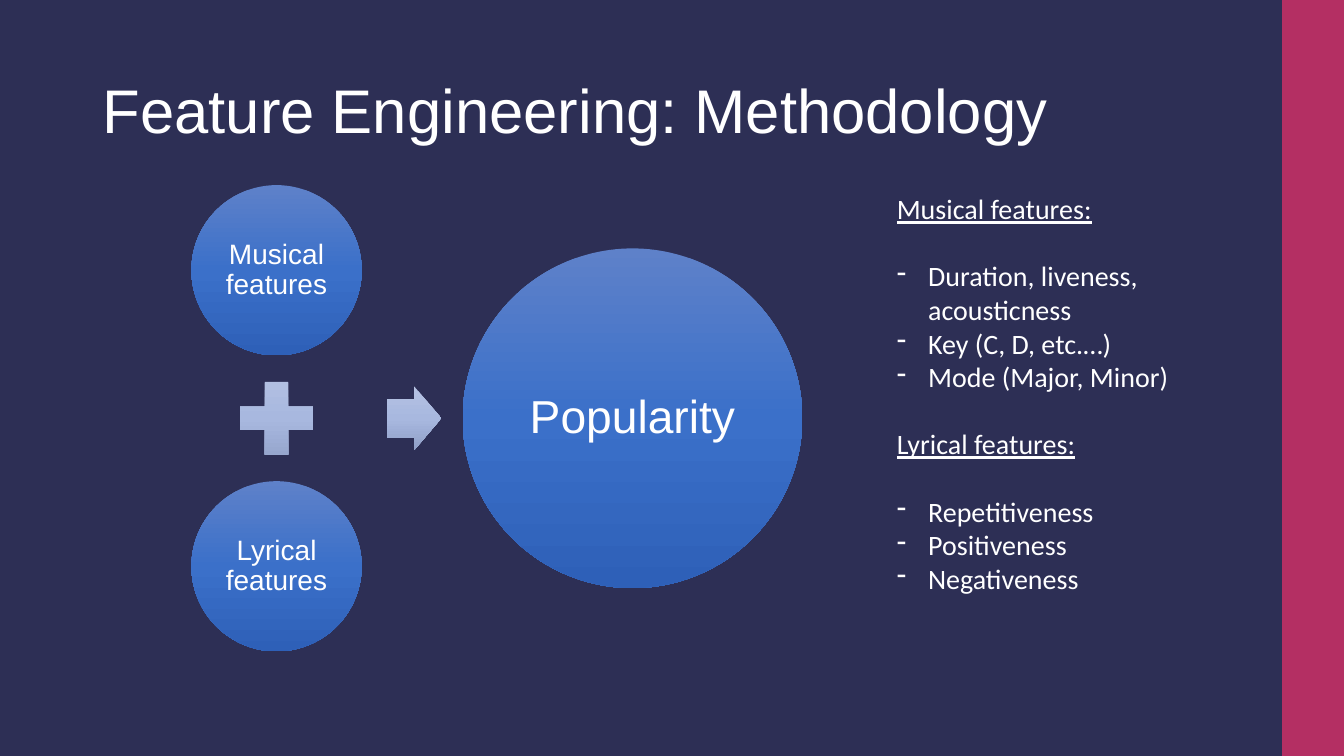
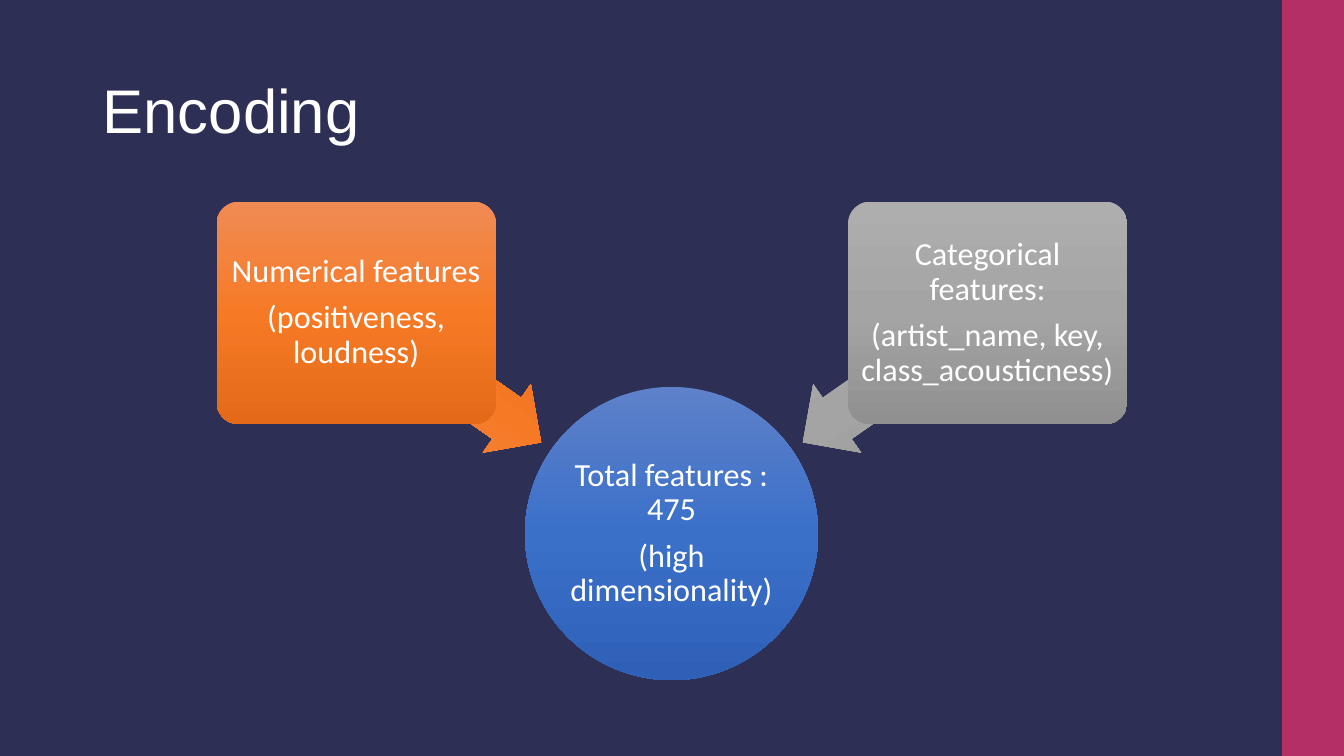
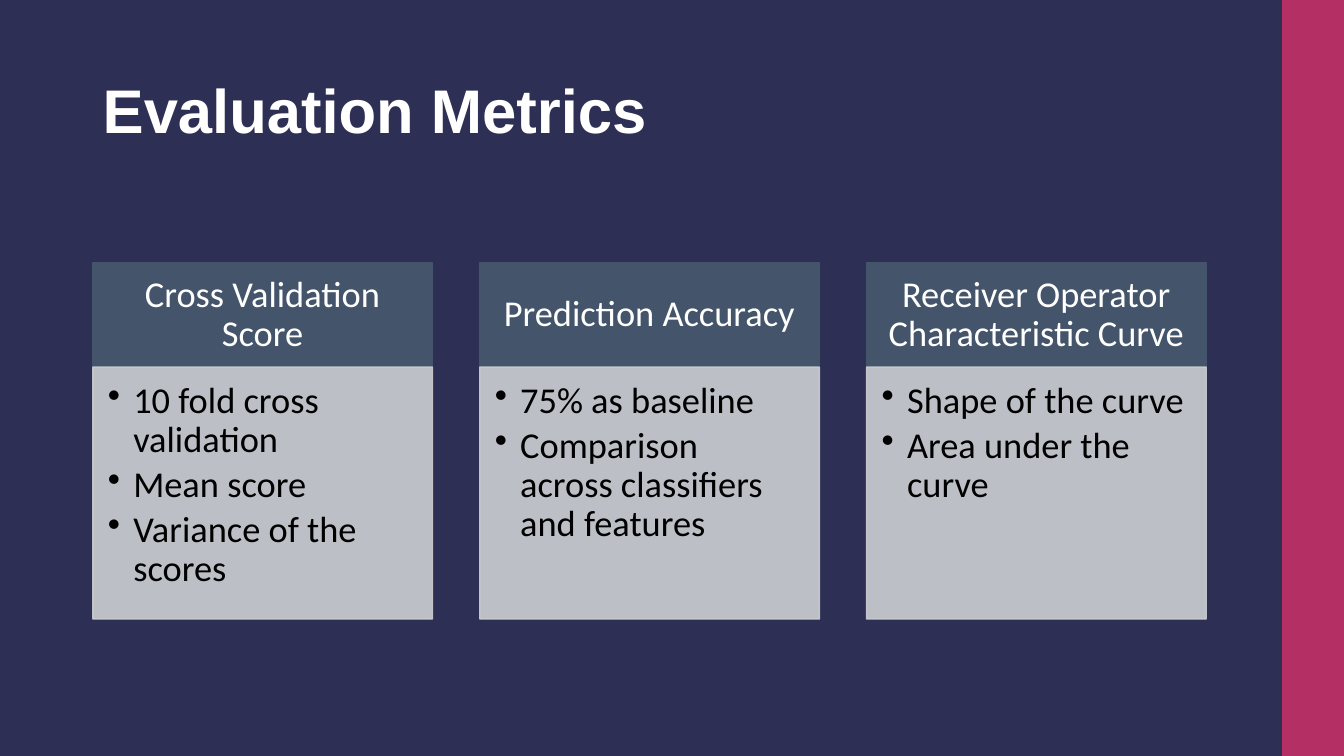
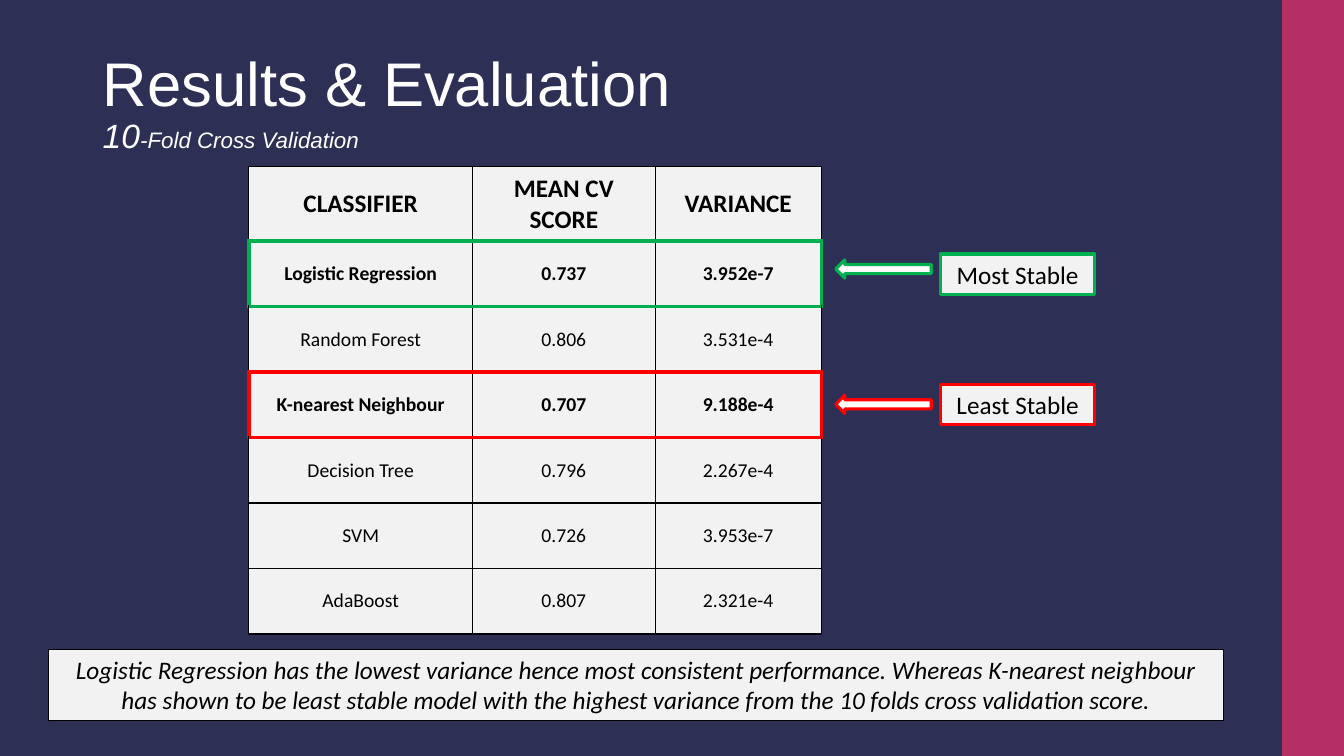
from lxml.etree import SubElement
from pptx import Presentation
from pptx.dml.color import RGBColor
from pptx.enum.shapes import MSO_SHAPE
from pptx.enum.text import MSO_ANCHOR, PP_ALIGN
from pptx.oxml.ns import qn
from pptx.util import Cm, Pt

# Shared colours, gradients and formats
SLIDE_W, SLIDE_H = 33.87, 19.05
NAVY, PINK, WHITE, BLACK = "2D2F55", "B42F63", "FFFFFF", "000000"
PALE, SLATE, SILVER = "F2F2F2", "44546A", "CDCFD3"
GREEN, RED = "00B050", "FF0000"
BLUE = ("5E81C9", "3B70C9", "2E60B8")
LIGHT_BLUE = ("B5C2E2", "A8B8DF", "90A0C8")
ORANGE = ("F08B54", "F67A26", "E36A18")
GREY = ("AEAEAE", "A4A4A4", "909090")
CENTRED = {"alignment": PP_ALIGN.CENTER}
TIGHT = {"line_spacing": 0.9}
TIGHT_CENTRED = {**CENTRED, **TIGHT}
BOX_INSETS = (0.25, 0.13, 0.25, 0.13)


def rgb(value):
    return RGBColor.from_string(value)


def font(size, color=WHITE, name="Calibri", **extra):
    return {"size": Pt(size), "name": name, "color": color, **extra}


def set_all(obj, values):
    for key, value in values.items():
        setattr(obj, key, value)


# Text
def add_run(p, text, fmt):
    r = p.add_run()
    r.text = text
    fmt = dict(fmt)
    r.font.color.rgb = rgb(fmt.pop("color"))
    set_all(r.font, fmt)


def add_bullet(p, char, indent, color):
    pPr = p._p.get_or_add_pPr()
    pPr.set("marL", str(Cm(indent)))
    pPr.set("indent", str(-Cm(indent)))
    SubElement(SubElement(pPr, qn("a:buClr")), qn("a:srgbClr"), val=color)
    SubElement(pPr, qn("a:buChar"), char=char)


def add_par(tf, text, fmt, bullet=None, **layout):
    """Fill the empty first paragraph, or add a further one."""
    p = tf.paragraphs[0] if not tf.text else tf.add_paragraph()
    if bullet:
        add_bullet(p, *bullet, fmt["color"])
    set_all(p, layout)
    add_run(p, text, fmt)
    return p


def set_frame(tf, insets, anchor=MSO_ANCHOR.MIDDLE):
    left, top, right, bottom = (Cm(v) for v in insets)
    set_all(tf, {"word_wrap": True, "vertical_anchor": anchor,
                 "margin_left": left, "margin_top": top,
                 "margin_right": right, "margin_bottom": bottom})
    return tf


def add_text(s, x, y, w, h, anchor=MSO_ANCHOR.MIDDLE):
    sp = s.shapes.add_textbox(Cm(x), Cm(y), Cm(w), Cm(h))
    return set_frame(sp.text_frame, BOX_INSETS, anchor)


# Shapes
def set_gradient(sp, colors):
    sp.fill.gradient()
    sp.fill.gradient_angle = 270
    stops = sp._element.spPr.find(".//" + qn("a:gsLst"))
    for stop in list(stops):
        stops.remove(stop)
    for i, color in enumerate(colors):
        stop = SubElement(stops, qn("a:gs"), pos=str(i * 50000))
        SubElement(stop, qn("a:srgbClr"), val=color)


def add_shape(s, kind, x, y, w, h, fill, line=None, adj=(), rotation=0):
    """Fill is one colour or three gradient colours; line is (colour, points)."""
    sp = s.shapes.add_shape(kind, Cm(x), Cm(y), Cm(w), Cm(h))
    sp.shadow.inherit = False
    sp.rotation = rotation
    for i, value in enumerate(adj):
        sp.adjustments[i] = value
    if isinstance(fill, tuple):
        set_gradient(sp, fill)
    else:
        sp.fill.solid()
        sp.fill.fore_color.rgb = rgb(fill)
    if line:
        sp.line.color.rgb = rgb(line[0])
        sp.line.width = Pt(line[1])
    else:
        sp.line.fill.background()
    return sp


def set_opacity(sp, percent):
    for color in sp._element.spPr.iter(qn("a:srgbClr")):
        SubElement(color, qn("a:alpha"), val=str(percent * 1000))


def label(sp, lines, fmt, inset, gap=8.1):
    tf = set_frame(sp.text_frame, (inset,) * 4)
    for i, line in enumerate(lines):
        add_par(tf, line, fmt, space_before=Pt(gap if i else 0), **TIGHT_CENTRED)


# Slide with side band and title
def new_slide(prs, title, top=1.02, bold=False):
    s = prs.slides.add_slide(prs.slide_layouts[6])
    add_shape(s, MSO_SHAPE.RECTANGLE, 32.31, 0, SLIDE_W - 32.31, SLIDE_H, PINK)
    tf = add_text(s, 2.34, top, 29.21, 3.68)
    p = add_par(tf, title, font(44, name="Arial", bold=bold), **TIGHT)
    return s, p


# Table
def set_border(cell, side, color, width):
    ln = SubElement(cell._tc.get_or_add_tcPr(), qn("a:ln" + side), w=str(Pt(width)))
    SubElement(SubElement(ln, qn("a:solidFill")), qn("a:srgbClr"), val=color)


def add_table(s, x, y, widths, heights, rows, marked):
    """Marked maps a row number to the colour of the frame around that row."""
    frame = s.shapes.add_table(len(rows), len(widths), Cm(x), Cm(y),
                               Cm(sum(widths)), Cm(sum(heights)))
    table = frame.table
    set_all(table, {"first_row": False, "horz_banding": False})
    for col, width in zip(table.columns, widths):
        col.width = Cm(width)
    last = len(widths) - 1
    for r, (values, height) in enumerate(zip(rows, heights)):
        table.rows[r].height = Cm(height)
        fmt = font(14 if r else 18, BLACK, bold=r == 0 or r in marked)
        own = marked.get(r)
        for c, value in enumerate(values):
            cell = table.cell(r, c)
            edges = {"L": own if c == 0 else None,
                     "R": own if c == last else None,
                     "T": own or marked.get(r - 1),
                     "B": own or marked.get(r + 1)}
            for side, color in edges.items():
                set_border(cell, side, color or BLACK, 3 if color else 1)
            cell.fill.solid()
            cell.fill.fore_color.rgb = rgb(PALE)
            cell.vertical_anchor = MSO_ANCHOR.MIDDLE
            for side in ("left", "right", "top", "bottom"):
                setattr(cell, "margin_" + side, Cm(0.18))
            add_par(cell.text_frame, value, fmt, **CENTRED)


# Slides
def methodology(prs):
    s, _ = new_slide(prs, "Feature Engineering: Methodology")
    mid_x, mid_y = 6.97, 10.54

    def centred(kind, x, y, w, h, fill, adj=()):
        return add_shape(s, kind, x - w / 2, y - h / 2, w, h, fill, adj=adj)

    for name, offset in (("Musical features", -3.73), ("Lyrical features", 3.73)):
        sp = centred(MSO_SHAPE.OVAL, mid_x, mid_y + offset, 4.29, 4.29, BLUE)
        label(sp, [name], font(20, name="Arial"), 0.08)
    centred(MSO_SHAPE.MATH_PLUS, mid_x, mid_y, 2.49, 2.49, LIGHT_BLUE, (0.235,))
    centred(MSO_SHAPE.RIGHT_ARROW, 10.44, mid_y, 1.37, 1.6, LIGHT_BLUE, (0.6, 0.5))
    sp = centred(MSO_SHAPE.OVAL, 15.94, mid_y, 8.56, 8.56, BLUE)
    label(sp, ["Popularity"], font(33, name="Arial"), 0.13)

    groups = {
        "Musical features:": ["Duration, liveness, acousticness",
                              "Key (C, D, etc.…)", "Mode (Major, Minor)"],
        "Lyrical features:": ["Repetitiveness", "Positiveness", "Negativeness"],
    }
    tf = add_text(s, 22.35, 4.7, 7.98, 10.52, MSO_ANCHOR.TOP)
    gap = Pt(24)
    for i, (heading, items) in enumerate(groups.items()):
        add_par(tf, heading, font(20, underline=True), space_before=gap if i else 0)
        for j, item in enumerate(items):
            add_par(tf, item, font(20), bullet=("-", 0.79),
                    space_before=0 if j else gap)


def encoding(prs):
    s, _ = new_slide(prs, "Encoding")
    sp = add_shape(s, MSO_SHAPE.OVAL, 13.23, 9.75, 7.39, 7.39, BLUE)
    label(sp, ["Total features : 475", "(high dimensionality)"], font(23), 0.05)
    box_w, arrow_w = 7.04, 5.69
    box_x, arrow_x = 5.46, 8.46
    sides = (
        (box_x, arrow_x, 215, ORANGE,
         ["Numerical features", "(positiveness, loudness)"]),
        (SLIDE_W - box_x - box_w, SLIDE_W - arrow_x - arrow_w, 325, GREY,
         ["Categorical features:", "(artist_name, key, class_acousticness)"]),
    )
    for x, tail_x, angle, fill, lines in sides:
        add_shape(s, MSO_SHAPE.LEFT_ARROW, tail_x, 8.46, arrow_w, 2.11, fill,
                  adj=(0.6, 0.5), rotation=angle)
        sp = add_shape(s, MSO_SHAPE.ROUNDED_RECTANGLE, x, 5.08, box_w, 5.61, fill,
                       adj=(0.1,))
        label(sp, lines, font(23), 0.13)


def metrics(prs):
    s, _ = new_slide(prs, "Evaluation Metrics", bold=True)
    columns = {
        "Cross Validation Score": ["10 fold cross validation", "Mean score",
                                   "Variance of the scores"],
        "Prediction Accuracy": ["75% as baseline",
                                "Comparison across classifiers and features"],
        "Receiver Operator Characteristic Curve": ["Shape of the curve",
                                                   "Area under the curve"],
    }
    for i, (heading, items) in enumerate(columns.items()):
        x = 2.34 + i * 9.75
        head = add_shape(s, MSO_SHAPE.RECTANGLE, x, 6.63, 8.56, 2.62, SLATE, (SLATE, 1))
        tf = set_frame(head.text_frame, (0.51, 0.3, 0.51, 0.3))
        add_par(tf, heading, font(26), **TIGHT_CENTRED)
        body = add_shape(s, MSO_SHAPE.RECTANGLE, x, 9.25, 8.56, 6.35, SILVER, (SILVER, 1))
        set_opacity(body, 90)
        tf = set_frame(body.text_frame, (0.38, 0.38, 0.51, 0.58), MSO_ANCHOR.TOP)
        for j, item in enumerate(items):
            add_par(tf, item, font(26, BLACK), bullet=("•", 0.64),
                    alignment=PP_ALIGN.LEFT, space_before=Pt(3.9 if j else 0), **TIGHT)


def results(prs):
    s, p = new_slide(prs, "Results & Evaluation", top=0.79)
    p.add_line_break()
    for text, size in (("10", 24), ("-Fold Cross Validation", 16)):
        add_run(p, text, font(size, name="Arial", italic=True))

    def pale_box(x, y, w, h, line, text, fmt):
        sp = add_shape(s, MSO_SHAPE.RECTANGLE, x, y, w, h, PALE, line)
        tf = set_frame(sp.text_frame, BOX_INSETS, MSO_ANCHOR.TOP)
        add_par(tf, text, fmt, **CENTRED)

    pale_box(1.22, 16.36, 29.62, 1.8, (BLACK, 0.75),
             "Logistic Regression has the lowest variance hence most consistent "
             "performance. Whereas K-nearest neighbour has shown to be least stable "
             "model with the highest variance from the 10 folds cross validation score.",
             font(18, BLACK, italic=True))
    rows = [
        ("CLASSIFIER", "MEAN CV SCORE", "VARIANCE"),
        ("Logistic Regression", "0.737", "3.952e-7"),
        ("Random Forest", "0.806", "3.531e-4"),
        ("K-nearest Neighbour", "0.707", "9.188e-4"),
        ("Decision Tree", "0.796", "2.267e-4"),
        ("SVM", "0.726", "3.953e-7"),
        ("AdaBoost", "0.807", "2.321e-4"),
    ]
    add_table(s, 6.27, 4.19, (5.64, 4.6, 4.19), [1.88] + [1.65] * 6, rows,
              {1: GREEN, 3: RED})
    for text, color, tag_y, arrow_y in (("Most Stable", GREEN, 6.4, 6.55),
                                        ("Least Stable", RED, 9.68, 9.96)):
        pale_box(23.7, tag_y, 3.89, 1.02, (color, 2.25), text, font(18, BLACK))
        add_shape(s, MSO_SHAPE.LEFT_ARROW, 21.06, arrow_y, 2.41, 0.46, WHITE,
                  (color, 2.25), adj=(0.5, 0.5))


def main():
    prs = Presentation()
    prs.slide_width, prs.slide_height = Cm(SLIDE_W), Cm(SLIDE_H)
    background = prs.slide_master.background.fill
    background.solid()
    background.fore_color.rgb = rgb(NAVY)
    for build in (methodology, encoding, metrics, results):
        build(prs)
    prs.save("out.pptx")


if __name__ == "__main__":
    main()
